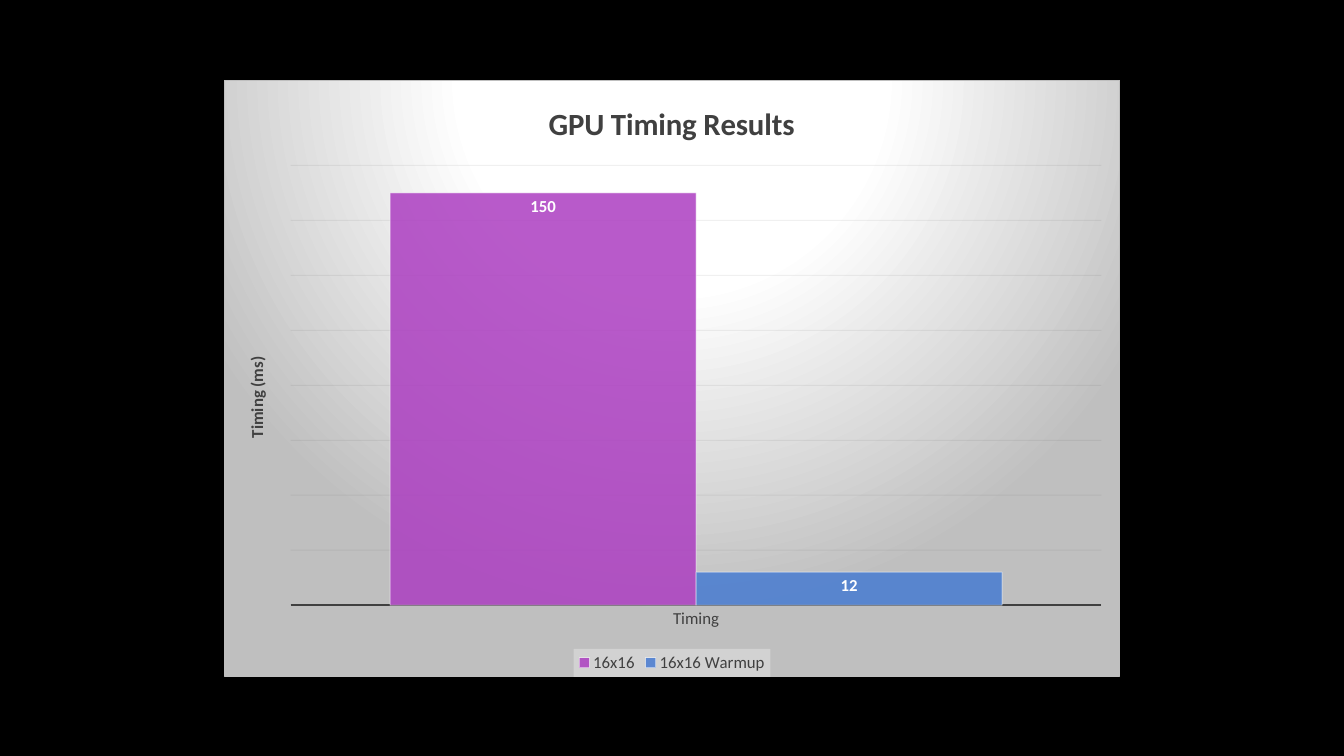
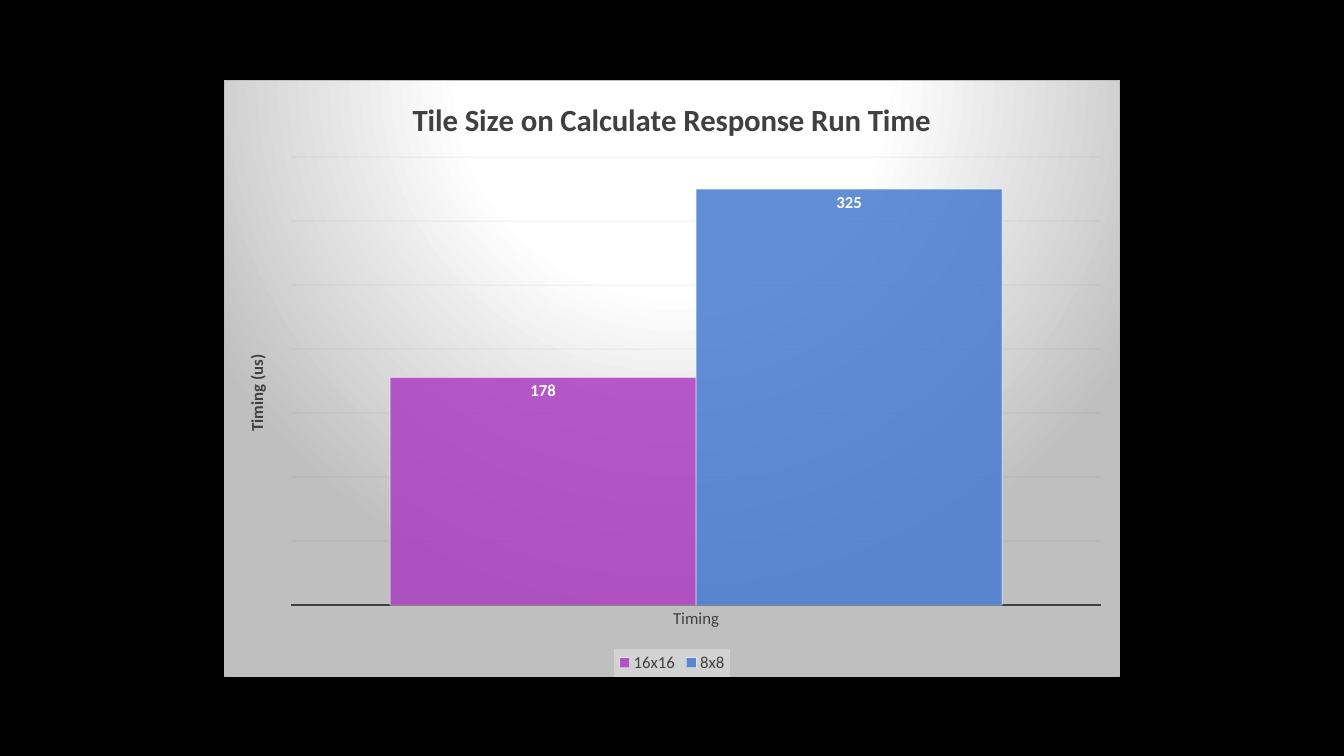
from lxml import etree
from pptx import Presentation
from pptx.chart.data import CategoryChartData
from pptx.dml.color import RGBColor
from pptx.enum.chart import (XL_CHART_TYPE, XL_LABEL_POSITION,
                             XL_LEGEND_POSITION, XL_TICK_MARK)
from pptx.oxml import parse_xml
from pptx.oxml.ns import nsdecls, qn
from pptx.util import Inches, Pt

BLACK = RGBColor(0x00, 0x00, 0x00)
WHITE = RGBColor(0xFF, 0xFF, 0xFF)
INK = RGBColor(0x40, 0x40, 0x40)
GRID = RGBColor(0x0D, 0x0D, 0x0D)
PURPLE = RGBColor(0xAC, 0x3E, 0xC1)
BLUE = RGBColor(0x47, 0x7B, 0xD1)
FONT = "Calibri"

PANEL_FILL = f"""<c:spPr {nsdecls('c', 'a')}>
  <a:gradFill><a:gsLst>
    <a:gs pos="0"><a:srgbClr val="FFFFFF"/></a:gs>
    <a:gs pos="39000"><a:srgbClr val="FFFFFF"/></a:gs>
    <a:gs pos="100000"><a:srgbClr val="BFBFBF"/></a:gs>
  </a:gsLst><a:path path="circle">
    <a:fillToRect l="50000" t="-80000" r="50000" b="180000"/>
  </a:path></a:gradFill>
  <a:ln w="9525"><a:solidFill><a:srgbClr val="BFBFBF"/></a:solidFill></a:ln>
</c:spPr>"""
LEGEND_FILL = f"""<c:spPr {nsdecls('c', 'a')}><a:solidFill>
  <a:srgbClr val="F2F2F2"><a:alpha val="39000"/></a:srgbClr>
</a:solidFill></c:spPr>"""

# title, unit, axis top, axis step, plot top, title corner, unit corner, series;
# the plot top and the corners are percentages of the chart
CHARTS = [
    ("GPU Timing Results", "Timing (ms)", 160, 20, 14.3,
     (35.6, 2.8), (2, 45.8), [("16x16", 150), ("16x16 Warmup", 12)]),
    ("Tile Size on Calculate Response Run Time", "Timing (us)", 350, 50, 12.9,
     (20.4, 2.1), (2, 45.5), [("16x16", 178), ("8x8", 325)]),
]
PLOT_LEFT, PLOT_WIDTH, PLOT_BOTTOM = 7.4, 90.6, 88


def fade(element, *percents):
    """Give the colours inside element these opacities, in order."""
    for colour, percent in zip(element.iter(qn("a:srgbClr")), percents):
        etree.SubElement(colour, qn("a:alpha")).set("val", str(percent * 1000))


def place(element, index, **percents):
    """Put a manual layout, in percent of the chart, at index in element."""
    for old in element.findall(qn("c:layout")):
        element.remove(old)
    layout = parse_xml(f"<c:layout {nsdecls('c')}><c:manualLayout/></c:layout>")
    settings = {"layoutTarget": "inner"} if "w" in percents else {}
    settings.update(xMode="edge", yMode="edge")
    settings.update((key, percent / 100) for key, percent in percents.items())
    for key, value in settings.items():
        etree.SubElement(layout[0], qn(f"c:{key}")).set("val", str(value))
    element.insert(index, layout)


prs = Presentation()
prs.slide_width, prs.slide_height = Inches(13.33), Inches(7.5)
panel_left, panel_width = int(prs.slide_width / 6), int(prs.slide_width * 2 / 3)
panel_top, panel_height = Inches(0.79), Inches(5.93)

for (title, unit, axis_top, axis_step, plot_top,
     title_corner, unit_corner, timings) in CHARTS:
    slide = prs.slides.add_slide(prs.slide_layouts[6])
    slide.background.fill.solid()
    slide.background.fill.fore_color.rgb = BLACK

    data = CategoryChartData()
    data.categories = ["Timing"]
    for name, timing in timings:
        data.add_series(name, [timing])
    chart = slide.shapes.add_chart(
        XL_CHART_TYPE.COLUMN_CLUSTERED, panel_left, panel_top,
        panel_width, panel_height, data).chart
    space = chart._chartSpace
    chart.font.name, chart.font.size = FONT, Pt(12)
    chart.font.color.rgb = INK
    space.find(qn("c:chart")).addnext(parse_xml(PANEL_FILL))

    time_axis, tile_axis = chart.value_axis, chart.category_axis
    for holder, text, size, corner in [
            (chart.chart_title, title, 22, title_corner),
            (time_axis.axis_title, unit, 12, unit_corner)]:
        run = holder.text_frame.paragraphs[0].add_run()
        run.text = text
        run.font.name, run.font.size, run.font.bold = FONT, Pt(size), True
        run.font.color.rgb = INK
        place(holder._element, 1, x=corner[0], y=corner[1])
    unit_body = time_axis.axis_title.text_frame._txBody.find(qn("a:bodyPr"))
    unit_body.set("rot", "-5400000")
    unit_body.set("vert", "horz")

    time_axis.visible = False
    time_axis.minimum_scale, time_axis.maximum_scale = 0, axis_top
    time_axis.major_unit = axis_step
    grid_line = time_axis.major_gridlines.format.line
    grid_line.color.rgb, grid_line.width = GRID, Pt(0.75)
    fade(next(space.iter(qn("c:majorGridlines"))), 5)

    tile_axis.major_tick_mark = tile_axis.minor_tick_mark = XL_TICK_MARK.NONE
    tile_axis.format.line.color.rgb = INK
    tile_axis.format.line.width = Pt(1.5)
    tile_axis.tick_labels.font.size = Pt(12)
    tile_axis.tick_labels.font.color.rgb = INK

    chart.has_legend = True
    chart.legend.position = XL_LEGEND_POSITION.BOTTOM
    chart.legend.include_in_layout = False
    chart.legend._element.find(qn("c:overlay")).addnext(parse_xml(LEGEND_FILL))

    columns = chart.plots[0]
    columns.gap_width, columns.overlap = 65, 0
    columns.vary_by_categories = False
    for series, colour in zip(columns.series, (PURPLE, BLUE)):
        series.format.fill.solid()
        series.format.fill.fore_color.rgb = colour
        series.format.line.color.rgb = WHITE
        series.format.line.width = Pt(0.75)
        fade(series._element.find(qn("c:spPr")), 85, 50)
        labels = series.data_labels
        labels.show_value = True
        labels.position = XL_LABEL_POSITION.INSIDE_END
        labels.font.name, labels.font.size, labels.font.bold = FONT, Pt(12), True
        labels.font.color.rgb = WHITE

    place(next(space.iter(qn("c:plotArea"))), 0, x=PLOT_LEFT, y=plot_top,
          w=PLOT_WIDTH, h=PLOT_BOTTOM - plot_top)

prs.save("out.pptx")
